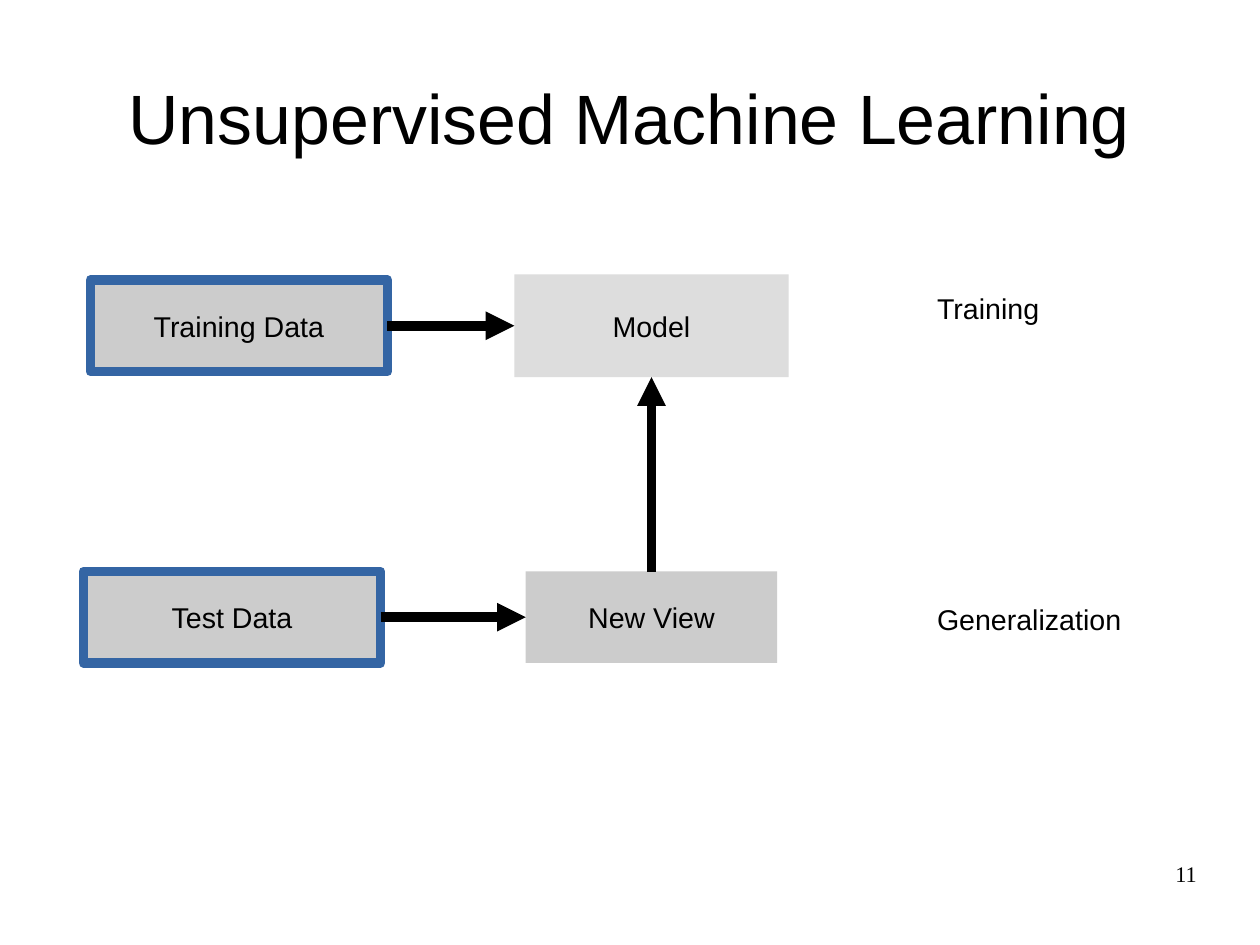
from dataclasses import dataclass

from lxml import etree
from pptx import Presentation
from pptx.dml.color import RGBColor
from pptx.enum.shapes import MSO_CONNECTOR, MSO_SHAPE
from pptx.enum.text import MSO_ANCHOR, PP_ALIGN
from pptx.oxml.ns import qn
from pptx.util import Inches, Pt

RECTANGLE = MSO_SHAPE.RECTANGLE
STRAIGHT = MSO_CONNECTOR.STRAIGHT
LEFT, CENTER, RIGHT = PP_ALIGN.LEFT, PP_ALIGN.CENTER, PP_ALIGN.RIGHT
TOP, MIDDLE = MSO_ANCHOR.TOP, MSO_ANCHOR.MIDDLE
TOP_SITE, LEFT_SITE, BOTTOM_SITE, RIGHT_SITE = range(4)
BLANK_LAYOUT = 6
CM_PER_INCH = 2.54
PAGE_WIDTH, PAGE_HEIGHT = 28 / CM_PER_INCH, 21 / CM_PER_INCH


@dataclass(frozen=True)
class Theme:
    ink: RGBColor = RGBColor(0x00, 0x00, 0x00)
    paper: RGBColor = RGBColor(0xFF, 0xFF, 0xFF)
    border: RGBColor = RGBColor(0x34, 0x65, 0xA4)
    node: RGBColor = RGBColor(0xCC, 0xCC, 0xCC)
    model: RGBColor = RGBColor(0xDD, 0xDD, 0xDD)
    sans: str = "Arial"
    serif: str = "Times New Roman"
    title_size: int = 44
    body_size: int = 18
    number_size: int = 14
    stroke: int = 6


THEME = Theme()


def to_lengths(box):
    return [Inches(round(value, 2)) for value in box]


def set_text(shape, text, size=THEME.body_size, font=THEME.sans,
             align=CENTER, anchor=MIDDLE, wrap=True, margins=(0.1, 0.05)):
    frame = shape.text_frame
    frame.text = text
    frame.word_wrap = wrap
    frame.vertical_anchor = anchor
    frame.margin_left = frame.margin_right = Inches(margins[0])
    frame.margin_top = frame.margin_bottom = Inches(margins[1])
    para = frame.paragraphs[0]
    para.alignment = align
    for span in para.runs:
        span.font.size = Pt(size)
        span.font.name = font
        span.font.color.rgb = THEME.ink


def add_label(page, box, text, **style):
    label = page.shapes.add_textbox(*to_lengths(box))
    set_text(label, text, **style)


def add_node(page, box, text, fill=THEME.node, bordered=False):
    node = page.shapes.add_shape(RECTANGLE, *to_lengths(box))
    node.shadow.inherit = False
    node.fill.solid()
    node.fill.fore_color.rgb = fill
    if bordered:
        node.line.color.rgb = THEME.border
        node.line.width = Pt(THEME.stroke)
        etree.SubElement(node.line._get_or_add_ln(), qn("a:round"))
    else:
        node.line.fill.background()
    set_text(node, text, wrap=False)
    return node


def add_arrow(page, source, source_site, target, target_site):
    arrow = page.shapes.add_connector(STRAIGHT, 0, 0, 0, 0)
    arrow.begin_connect(source, source_site)
    arrow.end_connect(target, target_site)
    arrow.line.color.rgb = THEME.ink
    arrow.line.width = Pt(THEME.stroke)
    properties = arrow._element.spPr
    properties.find(qn("a:prstGeom")).set("prst", "straightConnector1")
    etree.SubElement(arrow.line._get_or_add_ln(), qn("a:tailEnd"), type="triangle")
    etree.SubElement(properties, qn("a:effectLst"))


def add_diagram(page, box):
    left, top, width, height = box
    center = left + 4.97
    node_height, model_height = 0.8, 0.9
    test_top = top + height - node_height

    training = add_node(page, (left + 0.06, top + 0.05, 2.6, node_height),
                        "Training Data", bordered=True)
    test = add_node(page, (left, test_top, 2.6, node_height),
                    "Test Data", bordered=True)
    model = add_node(page, (center - 1.2, top, 2.4, model_height),
                     "Model", fill=THEME.model)
    view = add_node(page, (center - 1.1, test_top, 2.2, node_height), "New View")

    add_arrow(page, test, RIGHT_SITE, view, LEFT_SITE)
    add_arrow(page, view, TOP_SITE, model, BOTTOM_SITE)
    add_arrow(page, training, RIGHT_SITE, model, LEFT_SITE)

    label_left = left + width - 2.1
    for text, label_top, label_width in (("Training", top + 0.1, 1.2),
                                         ("Generalization", test_top + 0.22, 2.1)):
        add_label(page, (label_left, label_top, label_width, 0.38), text,
                  align=LEFT, anchor=TOP)


def main():
    deck = Presentation()
    deck.slide_width, deck.slide_height = Inches(PAGE_WIDTH), Inches(PAGE_HEIGHT)
    page = deck.slides.add_slide(deck.slide_layouts[BLANK_LAYOUT])
    page.background.fill.solid()
    page.background.fill.fore_color.rgb = THEME.paper

    add_label(page, (0.55, 0.33, 9.92, 1.38), "Unsupervised Machine Learning",
              size=THEME.title_size, margins=(0, 0))
    add_diagram(page, (0.73, 2.4, 9.47, 3.4))
    add_label(page, (7.9, 7.53, 2.57, 0.57), "11", size=THEME.number_size,
              font=THEME.serif, align=RIGHT, anchor=TOP, margins=(0, 0))
    deck.save("out.pptx")


if __name__ == "__main__":
    main()
